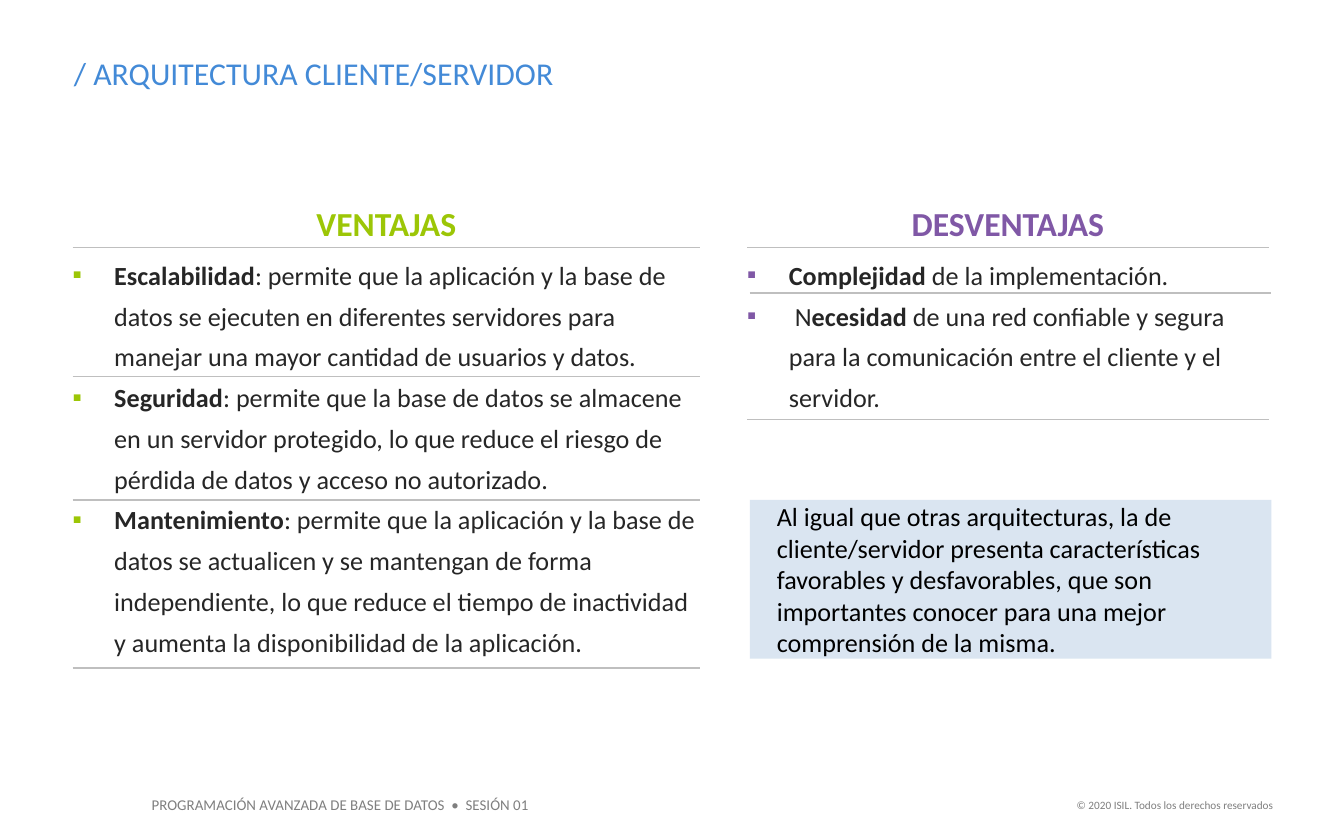
from dataclasses import dataclass

from lxml import etree
from pptx import Presentation
from pptx.dml.color import RGBColor
from pptx.enum import shapes, text
from pptx.oxml import ns
from pptx.util import Inches, Pt


@dataclass(frozen=True)
class Theme:
    font: str = "Calibri"
    title: str = "438AD7"
    pros: str = "9CC606"
    cons: str = "8058A6"
    body: str = "262626"
    note: str = "000000"
    note_fill: str = "DAE5F1"
    rule: str = "BFBFBF"
    footer: str = "7F7F7F"
    title_size: float = 17
    heading_size: float = 18
    body_size: float = 14
    footer_size: float = 8
    copyright_size: float = 6


theme = Theme()
LEFT, CENTER, RIGHT = text.PP_ALIGN.LEFT, text.PP_ALIGN.CENTER, text.PP_ALIGN.RIGHT


def place(shape, left, top, width, height, margins=(0.1, 0.05)):
    """Position a shape and give its text frame fixed wrapping, margins and a top anchor."""
    shape.left, shape.top = Inches(left), Inches(top)
    shape.width, shape.height = Inches(width), Inches(height)
    frame = shape.text_frame
    frame.word_wrap = True
    frame.auto_size = text.MSO_AUTO_SIZE.NONE
    frame.vertical_anchor = text.MSO_ANCHOR.TOP
    frame.margin_left = frame.margin_right = Inches(margins[0])
    frame.margin_top = frame.margin_bottom = Inches(margins[1])
    return frame


def style(paragraph, size, color, align=LEFT, bold=False):
    paragraph.alignment = align
    paragraph.space_before = Pt(0)
    for run in paragraph.runs:
        run.font.name = theme.font
        run.font.size = Pt(size)
        run.font.bold = bold
        run.font.color.rgb = RGBColor.from_string(color)


prs = Presentation()
prs.slide_width, prs.slide_height = Inches(10), Inches(6.25)
slide = prs.slides.add_slide(prs.slide_layouts.get_by_name("Comparison"))
title, *column_holders = slide.placeholders

# Title
frame = place(title, 0.45, 0.35, 7.88, 0.39)
frame.text = "/ ARQUITECTURA CLIENTE/SERVIDOR"
style(frame.paragraphs[0], theme.title_size, theme.title)

# Columns: heading, left, width, accent, points as (plain lead, bold term, rest)
columns = [
    ("VENTAJAS", 0.54, 4.67, theme.pros, [
        ("", "Escalabilidad", ": permite que la aplicación y la base de datos se ejecuten en "
         "diferentes servidores para manejar una mayor cantidad de usuarios y datos."),
        ("", "Seguridad", ": permite que la base de datos se almacene en un servidor protegido, "
         "lo que reduce el riesgo de pérdida de datos y acceso no autorizado."),
        ("", "Mantenimiento", ": permite que la aplicación y la base de datos se actualicen y se "
         "mantengan de forma independiente, lo que reduce el tiempo de inactividad y aumenta la "
         "disponibilidad de la aplicación."),
    ]),
    ("DESVENTAJAS", 5.56, 3.88, theme.cons, [
        ("", "Complejidad", " de la implementación."),
        (" N", "ecesidad", " de una red confiable y segura para la comunicación entre el cliente "
         "y el servidor."),
    ]),
]
heading_top, list_top = 1.46, 1.86
list_heights = [3.04, 1.2]

for i, (heading, left, width, accent, points) in enumerate(columns):
    heading_holder, list_holder = column_holders[2 * i:2 * i + 2]
    frame = place(heading_holder, left, heading_top, width, 0.4)
    frame.text = heading
    style(frame.paragraphs[0], theme.heading_size, accent, CENTER, bold=True)

    frame = place(list_holder, left, list_top, width, list_heights[i], (0, 0))
    for j, (lead, term, rest) in enumerate(points):
        point = frame.add_paragraph() if j else frame.paragraphs[0]
        props = point._p.get_or_add_pPr()
        props.set("marL", str(Inches(0.31)))
        props.set("indent", str(-Inches(0.31)))
        bullet_color = etree.SubElement(props, ns.qn("a:buClr"))
        etree.SubElement(bullet_color, ns.qn("a:srgbClr"), val=accent)
        etree.SubElement(props, ns.qn("a:buFont"), typeface=theme.font)
        etree.SubElement(props, ns.qn("a:buChar"), char="▪")
        point.line_spacing = 1.3
        for part in filter(None, (lead, term, rest)):
            point.add_run().text = part
        style(point, theme.body_size, theme.body)
        point.runs[-2].font.bold = True

# Rules under the headings and between the points
rules = [(0.54, 4.67, y) for y in (1.84, 2.8, 3.72, 4.97)]
rules += [(5.56, 3.88, 1.84), (5.58, 3.88, 2.18), (5.56, 3.88, 3.12)]
for left, width, y in rules:
    rule = slide.shapes.add_connector(
        shapes.MSO_CONNECTOR.STRAIGHT, Inches(left), Inches(y), Inches(left + width), Inches(y))
    rule.line.color.rgb = RGBColor.from_string(theme.rule)
    rule.line.width = Pt(0.75)
    etree.SubElement(rule._element.spPr, ns.qn("a:effectLst"))

# Closing note
note = slide.shapes.add_shape(shapes.MSO_SHAPE.RECTANGLE, 0, 0, 0, 0)
note.shadow.inherit = False
note.fill.solid()
note.fill.fore_color.rgb = RGBColor.from_string(theme.note_fill)
note.line.fill.background()
frame = place(note, 5.58, 3.72, 3.88, 1.18, (0, 0))
frame.vertical_anchor = text.MSO_ANCHOR.MIDDLE
frame.text = ("Al igual que otras arquitecturas, la de cliente/servidor presenta características "
              "favorables y desfavorables, que son importantes conocer para una mejor "
              "comprensión de la misma.")
frame.paragraphs[0]._p.get_or_add_pPr().set("marL", str(Inches(0.2)))
style(frame.paragraphs[0], theme.body_size, theme.note)

# Footer
footers = [
    ("PROGRAMACIÓN AVANZADA DE BASE DE DATOS  •  SESIÓN 01",
     (1.03, 5.87, 3.03, 0.24), theme.footer_size, LEFT),
    ("© 2020 ISIL. Todos los derechos reservados",
     (7.88, 5.89, 1.69, 0.2), theme.copyright_size, RIGHT),
]
for wording, box, size, align in footers:
    frame = place(slide.shapes.add_textbox(0, 0, 0, 0), *box)
    frame.text = wording
    style(frame.paragraphs[0], size, theme.footer, align)

prs.save("out.pptx")
